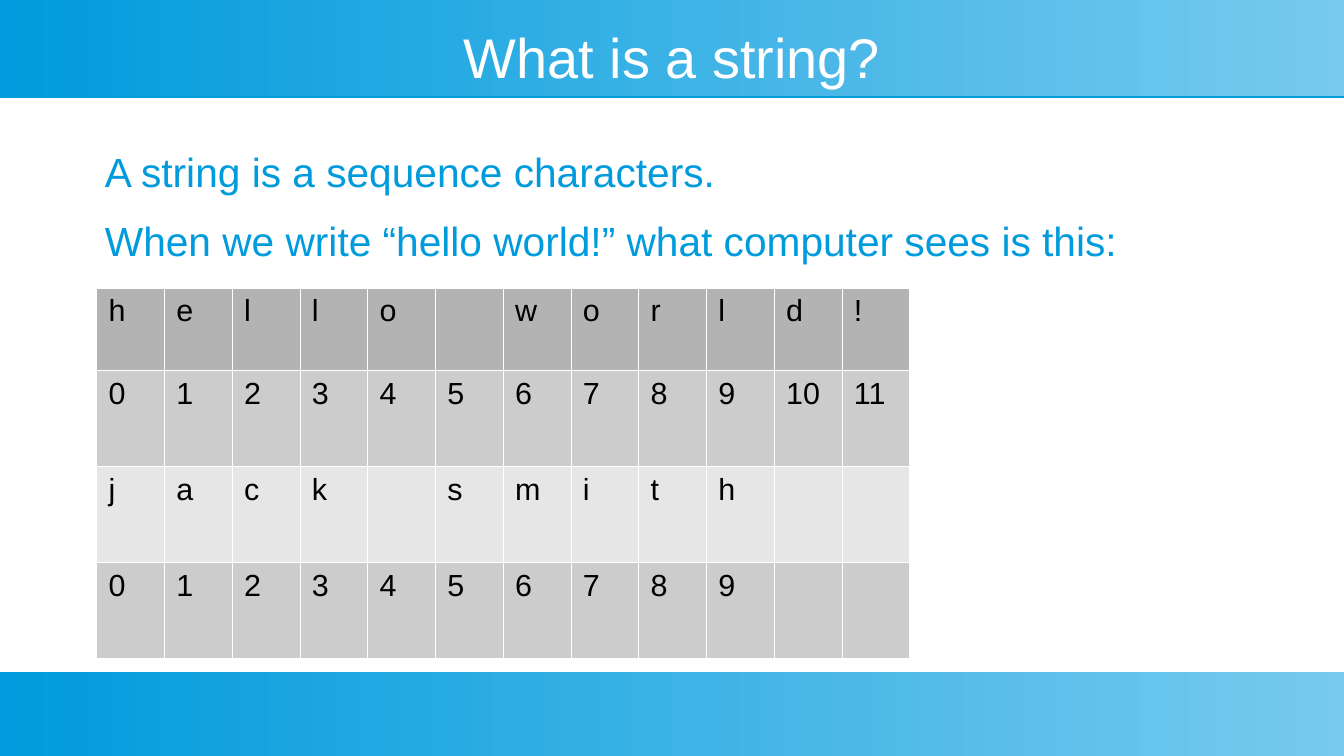
from dataclasses import dataclass

import pptx
import pptx.dml.color
import pptx.enum.shapes
import pptx.enum.text
import pptx.oxml
import pptx.oxml.ns
import pptx.util
from pptx.util import Pt


@dataclass(frozen=True)
class Theme:
    font: str = "Arial"
    blue: str = "009BDD"
    light_blue: str = "77CAEE"
    white: str = "FFFFFF"
    black: str = "000000"
    title_size: float = 33
    body_size: float = 24
    cell_size: float = 18


@dataclass(frozen=True)
class Area:
    left: float
    top: float
    width: float
    height: float

    def lengths(self) -> tuple:
        return Pt(self.left), Pt(self.top), Pt(self.width), Pt(self.height)


@dataclass(frozen=True)
class TableRow:
    texts: list
    height: float
    fill: str


THEME = Theme()
SLIDE_WIDTH, SLIDE_HEIGHT = 793.5, 446.5
BANDS = [Area(0, 0, SLIDE_WIDTH, 57), Area(0, 397, SLIDE_WIDTH, 49.5)]
TITLE_AREA = Area(28, 14.5, 737.5, 37.5)
BODY_AREA = Area(62, 86.5, 703.5, 282)
BODY_LINES = [
    "A string is a sequence characters.",
    "When we write “hello world!” what computer sees is this:",
]
BODY_GAP = 12
TABLE_LEFT, TABLE_TOP = 57, 170
COLUMN_COUNT, COLUMN_WIDTH = 12, 40
BORDER_WIDTH = 0.06


def color(code: str) -> pptx.dml.color.RGBColor:
    return pptx.dml.color.RGBColor.from_string(code)


def format_text(para, size: float, code: str) -> None:
    for span in para.runs:
        span.font.name = THEME.font
        span.font.size = Pt(size)
        span.font.color.rgb = color(code)


def add_band(page, area: Area) -> None:
    """Draw a blue gradient band with a thin hard shadow below it."""
    band = page.shapes.add_shape(
        pptx.enum.shapes.MSO_SHAPE.RECTANGLE, *area.lengths())
    band.line.fill.background()
    band.fill.gradient()
    band.fill.gradient_angle = 0
    for stop, code in zip(band.fill.gradient_stops, (THEME.blue, THEME.light_blue)):
        stop.color.rgb = color(code)
    for stop, position in zip(band.fill.gradient_stops, (0, 1)):
        stop.position = position
    band.shadow.inherit = False
    effects = band._element.spPr.find(pptx.oxml.ns.qn("a:effectLst"))
    effects.append(pptx.oxml.parse_xml(
        f'<a:outerShdw {pptx.oxml.ns.nsdecls("a")} blurRad="0" '
        f'dist="{Pt(0.9)}" dir="5400000" rotWithShape="0">'
        f'<a:srgbClr val="{THEME.blue}"/></a:outerShdw>'))


def add_text(page, area: Area, lines: list, size: float, code: str,
             align, anchor, gap: float = 0) -> None:
    frame = page.shapes.add_textbox(*area.lengths()).text_frame
    frame.word_wrap = True
    frame.vertical_anchor = anchor
    frame.margin_left = frame.margin_right = 0
    frame.margin_top = frame.margin_bottom = 0
    frame.text = "\n".join(lines)
    for number, para in enumerate(frame.paragraphs):
        para.alignment = align
        para.space_before = Pt(gap if number else 0)
        format_text(para, size, code)


def add_borders(cell) -> None:
    properties = cell._tc.get_or_add_tcPr()
    for side in ("lnL", "lnR", "lnT", "lnB"):
        properties.append(pptx.oxml.parse_xml(
            f'<a:{side} {pptx.oxml.ns.nsdecls("a")} w="{Pt(BORDER_WIDTH)}">'
            f'<a:solidFill><a:srgbClr val="{THEME.white}"/></a:solidFill>'
            f'</a:{side}>'))


def add_index_table(page, rows: list) -> None:
    area = Area(TABLE_LEFT, TABLE_TOP, COLUMN_COUNT * COLUMN_WIDTH,
                sum(row.height for row in rows))
    table = page.shapes.add_table(len(rows), COLUMN_COUNT, *area.lengths()).table
    table.first_row = table.horz_banding = False
    for column in table.columns:
        column.width = Pt(COLUMN_WIDTH)
    for row_number, row in enumerate(rows):
        table.rows[row_number].height = Pt(row.height)
        for column_number in range(COLUMN_COUNT):
            cell = table.cell(row_number, column_number)
            add_borders(cell)
            cell.fill.solid()
            cell.fill.fore_color.rgb = color(row.fill)
            cell.margin_left = cell.margin_right = Pt(7.2)
            cell.margin_top = cell.margin_bottom = Pt(3.6)
            if column_number < len(row.texts):
                cell.text_frame.text = row.texts[column_number].strip()
                format_text(cell.text_frame.paragraphs[0],
                            THEME.cell_size, THEME.black)


def index_labels(word: str) -> list:
    return [str(index) for index in range(len(word))]


def main() -> None:
    deck = pptx.Presentation()
    deck.slide_width, deck.slide_height = Pt(SLIDE_WIDTH), Pt(SLIDE_HEIGHT)
    page = deck.slides.add_slide(deck.slide_layouts[6])
    align, anchor = pptx.enum.text.PP_ALIGN, pptx.enum.text.MSO_ANCHOR

    for area in BANDS:
        add_band(page, area)
    add_text(page, TITLE_AREA, ["What is a string?"], THEME.title_size,
             THEME.white, align.CENTER, anchor.MIDDLE)
    add_text(page, BODY_AREA, BODY_LINES, THEME.body_size,
             THEME.blue, align.LEFT, anchor.TOP, BODY_GAP)

    greeting, name = "hello world!", "jack smith"
    add_index_table(page, [
        TableRow(list(greeting), 48.75, "B3B3B3"),
        TableRow(index_labels(greeting), 56.75, "CCCCCC"),
        TableRow(list(name), 56.75, "E6E6E6"),
        TableRow(index_labels(name), 56.75, "CCCCCC"),
    ])
    deck.save("out.pptx")


if __name__ == "__main__":
    main()
